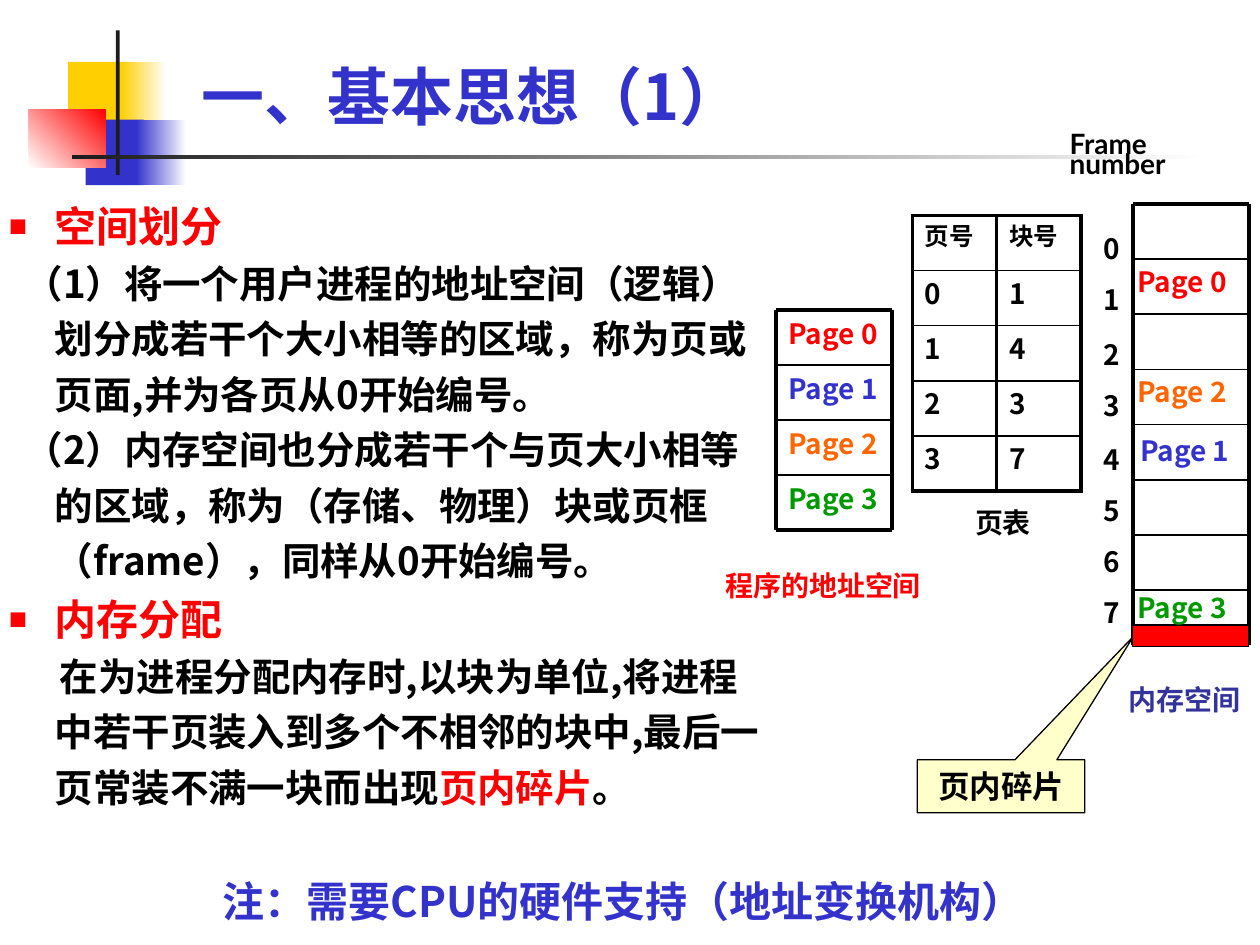
from dataclasses import dataclass

import lxml.etree
import pptx
import pptx.dml.color
import pptx.enum.shapes
import pptx.enum.text
import pptx.oxml.ns
import pptx.util

Inches = pptx.util.Inches
Pt = pptx.util.Pt
qn = pptx.oxml.ns.qn
SHAPES = pptx.enum.shapes.MSO_SHAPE
ALIGN = pptx.enum.text.PP_ALIGN
ANCHOR = pptx.enum.text.MSO_ANCHOR


@dataclass(frozen=True)
class Theme:
    cjk: str = "Noto Sans CJK SC"
    latin: str = "Lato"
    black: str = "000000"
    white: str = "FFFFFF"
    ink: str = "1C1C1C"
    blue: str = "3333CC"
    navy: str = "333399"
    red: str = "FF0000"
    orange: str = "FF6600"
    green: str = "009900"
    yellow: str = "FFCF01"
    cream: str = "FFFFCC"
    title: int = 36
    heading: int = 24
    body: int = 22
    callout: int = 18
    label: int = 16
    small: int = 14
    thick: float = 2.25
    thin: float = 1
    hairline: float = 0.75


THEME = Theme()
ROW = 0.4375
COLUMN = 0.92
PAGES = [("Page 0", THEME.red), ("Page 1", THEME.blue),
         ("Page 2", THEME.orange), ("Page 3", THEME.green)]
MEMORY_PLACES = [(8.93, 2.05), (8.95, 3.39), (8.93, 2.92), (8.93, 4.64)]
PAGE_TABLE = [("页号", "块号"), ("0", "1"), ("1", "4"), ("2", "3"), ("3", "7")]
BODY = [
    ("空间划分", None, None),
    ("（1）将一个用户进程的地址空间（逻辑）划分成若干个大小相等的区域，称为页或页面,并为各页从0开始编号。", -0.24, None),
    ("（2）内存空间也分成若干个与页大小相等的区域，称为（存储、物理）块或页框（frame），同样从0开始编号。", -0.24, None),
    ("内存分配", None, None),
    ("在为进程分配内存时,以块为单位,将进程中若干页装入到多个不相邻的块中,最后一页常装不满一块而出现", 0.04, "页内碎片"),
]


def rgb(value):
    return pptx.dml.color.RGBColor.from_string(value)


def add_xml(parent, tag, **attributes):
    return lxml.etree.SubElement(parent, qn(tag), attributes)


def style(para, size, color, face=THEME.cjk):
    font = para.font
    font.size, font.bold, font.name = Pt(size), True, face
    font.color.rgb = rgb(color)
    add_xml(para._p.pPr.find(qn("a:defRPr")), "a:ea", typeface=THEME.cjk)


def move(box, left, top, width, height):
    box.left, box.top = Inches(left), Inches(top)
    box.width, box.height = Inches(width), Inches(height)


def add_text(page, place, lines, size, color, face=THEME.cjk, spacing=1.0, gap=0):
    frame = page.shapes.add_textbox(*map(Inches, place)).text_frame
    frame.word_wrap = True
    for index, line in enumerate(lines):
        para = frame.add_paragraph() if index else frame.paragraphs[0]
        para.text = line
        para.line_spacing = spacing
        if index:
            para.space_before = Pt(gap)
        style(para, size, color, face)
    return frame


def add_line(page, start, end, width):
    kind = pptx.enum.shapes.MSO_CONNECTOR.STRAIGHT
    line = page.shapes.add_connector(kind, *map(Inches, start + end))
    line.line.color.rgb = rgb(THEME.black)
    line.line.width = Pt(width)
    add_xml(line._element.spPr, "a:effectLst")


def add_ladder(page, left, top, count):
    right, bottom = left + COLUMN, top + ROW * count
    for step in range(count + 1):
        y = top + ROW * step
        width = THEME.thick if step in (0, count) else THEME.thin
        add_line(page, (left, y), (right, y), width)
    for x in (left, right):
        add_line(page, (x, top), (x, bottom), THEME.thick)


def add_block(page, kind, place, color, fade_from=None, angle=0, outline=False):
    shape = page.shapes.add_shape(kind, *map(Inches, place))
    shape.shadow.inherit = False
    if fade_from:
        shape.fill.gradient()
        shape.fill.gradient_angle = angle
        for stop, value in zip(shape.fill.gradient_stops, (fade_from, color)):
            stop.color.rgb = rgb(value)
    else:
        shape.fill.solid()
        shape.fill.fore_color.rgb = rgb(color)
    if outline:
        shape.line.color.rgb = rgb(THEME.black)
        shape.line.width = Pt(THEME.hairline)
    else:
        shape.line.fill.background()
    return shape


def set_borders(cell, top, bottom):
    properties = cell._tc.get_or_add_tcPr()
    sides = zip("LRTB", (THEME.thick, THEME.thick, top, bottom))
    for index, (side, width) in enumerate(sides):
        line = lxml.etree.Element(qn("a:ln" + side), {"w": str(Pt(width))})
        add_xml(add_xml(line, "a:solidFill"), "a:srgbClr", val=THEME.black)
        properties.insert(index, line)


def add_page_table(page):
    last = len(PAGE_TABLE) - 1
    place = (7.24, 1.71, 1.34, ROW * len(PAGE_TABLE))
    table = page.shapes.add_table(last + 1, 2, *map(Inches, place)).table
    table.first_row = table.horz_banding = False
    for y, row in enumerate(PAGE_TABLE):
        table.rows[y].height = Inches(ROW)
        for x, text in enumerate(row):
            cell = table.cell(y, x)
            cell.margin_top, cell.margin_bottom = Inches(0.01), 0
            cell.fill.background()
            set_borders(cell, THEME.thin if y else THEME.thick,
                        THEME.thin if y < last else THEME.thick)
            para = cell.text_frame.paragraphs[0]
            para.text = text
            style(para, THEME.label if y else THEME.small, THEME.black)


def add_decoration(page):
    rect = SHAPES.RECTANGLE
    add_block(page, rect, (0.54, 0.49, 0.48, 0.52), THEME.yellow)
    add_block(page, rect, (0.96, 0.49, 0.36, 0.52), THEME.white, THEME.yellow)
    add_block(page, rect, (0.68, 0.95, 0.46, 0.52), THEME.blue)
    add_block(page, rect, (1.08, 0.95, 0.4, 0.52), THEME.white, THEME.blue)
    add_block(page, rect, (0.23, 0.87, 0.61, 0.46), THEME.red, THEME.white, 45)
    add_block(page, rect, (0.92, 0.24, 0.03, 1.15), THEME.ink)
    add_block(page, rect, (0.57, 1.23, 9, 0.03), THEME.white, THEME.ink)


def fill_title(box):
    move(box, 1.5, 0.21, 6.42, 0.9)
    box.text_frame.vertical_anchor = ANCHOR.BOTTOM
    box.text_frame.auto_size = pptx.enum.text.MSO_AUTO_SIZE.NONE
    para = box.text_frame.paragraphs[0]
    para.text = "一、基本思想（1）"
    para.alignment = ALIGN.LEFT
    style(para, THEME.title, THEME.blue)


def fill_body(box):
    move(box, -0.04, 1.46, 6.22, 5.76)
    frame = box.text_frame
    frame.auto_size = pptx.enum.text.MSO_AUTO_SIZE.NONE
    for index, (text, indent, ending) in enumerate(BODY):
        para = frame.add_paragraph() if index else frame.paragraphs[0]
        para.add_run().text = text
        para.space_before, para.line_spacing = Pt(0), 1.2
        properties = para._p.get_or_add_pPr()
        heading = indent is None
        properties.set("marL", str(Inches(0.375)))
        properties.set("indent", str(Inches(-0.375 if heading else indent)))
        if heading:
            add_xml(add_xml(properties, "a:buClr"), "a:srgbClr", val=THEME.red)
            add_xml(properties, "a:buSzPct", val="140000")
            add_xml(properties, "a:buChar", char="▪")
            style(para, THEME.heading, THEME.red)
        else:
            add_xml(properties, "a:buNone")
            style(para, THEME.body, THEME.black)
        if ending:
            span = para.add_run()
            span.text = ending
            span.font.color.rgb = rgb(THEME.red)
            para.add_run().text = "。"


def add_callout(page):
    shape = add_block(page, SHAPES.RECTANGULAR_CALLOUT, (7.28, 6.03, 1.33, 0.42),
                      THEME.cream, outline=True)
    shape.adjustments[0], shape.adjustments[1] = 0.79, -2.83
    para = shape.text_frame.paragraphs[0]
    para.text = "页内碎片"
    para.alignment = ALIGN.CENTER
    style(para, THEME.callout, THEME.black)


def add_memory(page):
    numbers = add_text(page, (8.66, 1.79, 0.33, 3.26), [str(n) for n in range(8)],
                       THEME.label, THEME.black, gap=10)
    for index in (2, 4):
        numbers.paragraphs[index].line_spacing = 1.1
    add_text(page, (8.39, 1.05, 1.08, 0.42), ["Frame", "number"],
             THEME.label, THEME.black, THEME.latin, 0.6)
    add_ladder(page, 8.99, 1.62, 8)
    add_block(page, SHAPES.RECTANGLE, (8.99, 4.96, COLUMN, 0.17), THEME.red, outline=True)
    for (text, color), place in zip(PAGES, MEMORY_PLACES):
        add_text(page, place + (1, 0.37), [text], THEME.label, color)


def add_address_space(page):
    for index, (text, color) in enumerate(PAGES):
        place = (6.16, 2.46 + ROW * index, COLUMN, ROW)
        add_text(page, place, [text], THEME.label, color)
    add_ladder(page, 6.16, 2.46, len(PAGES))


def main():
    deck = pptx.Presentation()
    deck.slide_width, deck.slide_height = Inches(10), Inches(7.5)
    page = deck.slides.add_slide(deck.slide_layouts[1])
    add_decoration(page)
    fill_title(page.shapes.title)
    fill_body(page.placeholders[1])
    add_callout(page)
    add_address_space(page)
    add_page_table(page)
    add_memory(page)
    for text, place, color in [
        ("程序的地址空间", (5.66, 4.46, 2.08, 0.37), THEME.red),
        ("页表", (7.64, 3.96, 0.83, 0.37), THEME.black),
        ("内存空间", (8.86, 5.37, 1.26, 0.37), THEME.navy),
    ]:
        add_text(page, place, [text], THEME.label, color)
    add_text(page, (1.67, 6.82, 6.87, 0.58), ["注：需要CPU的硬件支持（地址变换机构）"],
             THEME.heading, THEME.blue, spacing=1.2)
    deck.save("out.pptx")


if __name__ == "__main__":
    main()
